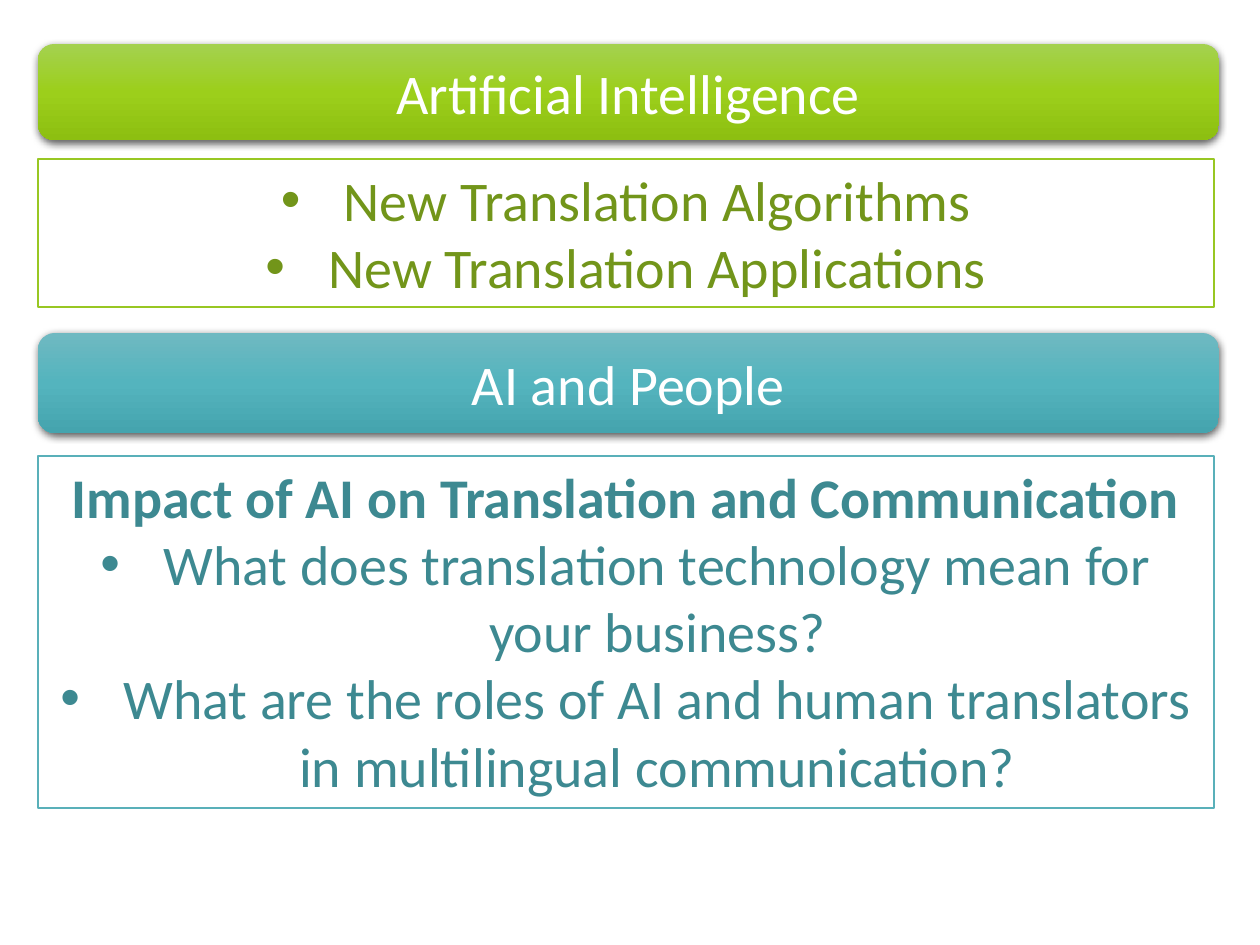
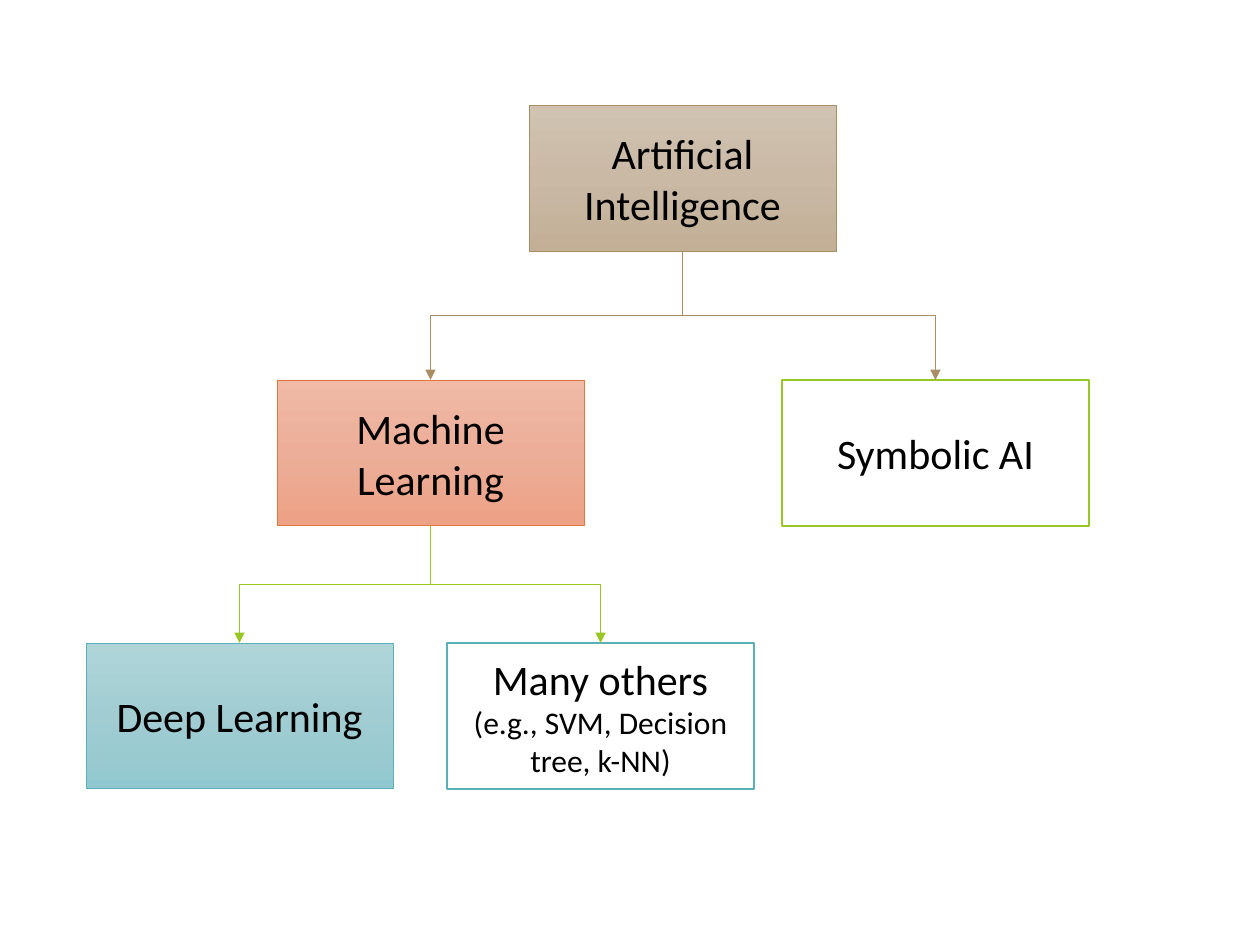
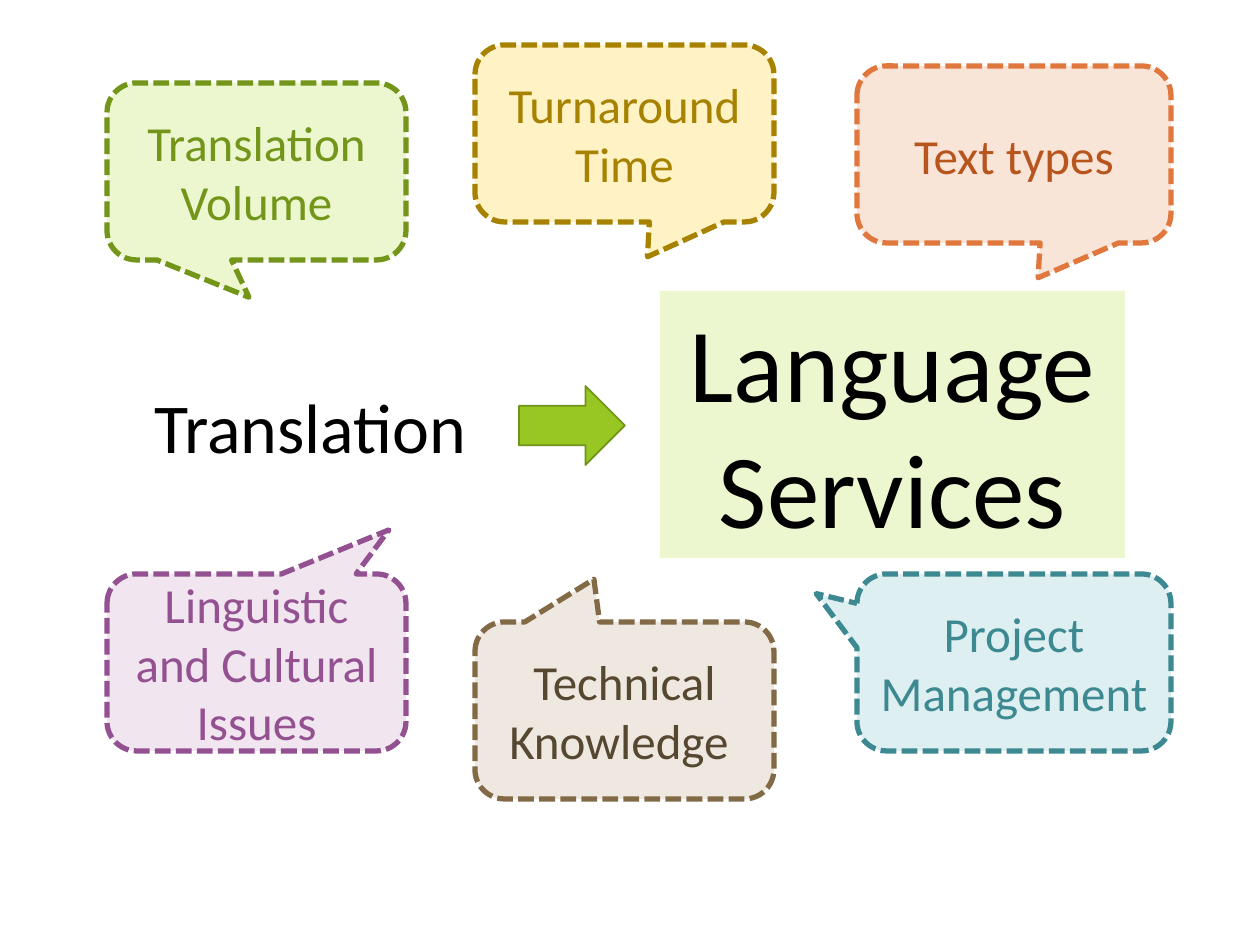
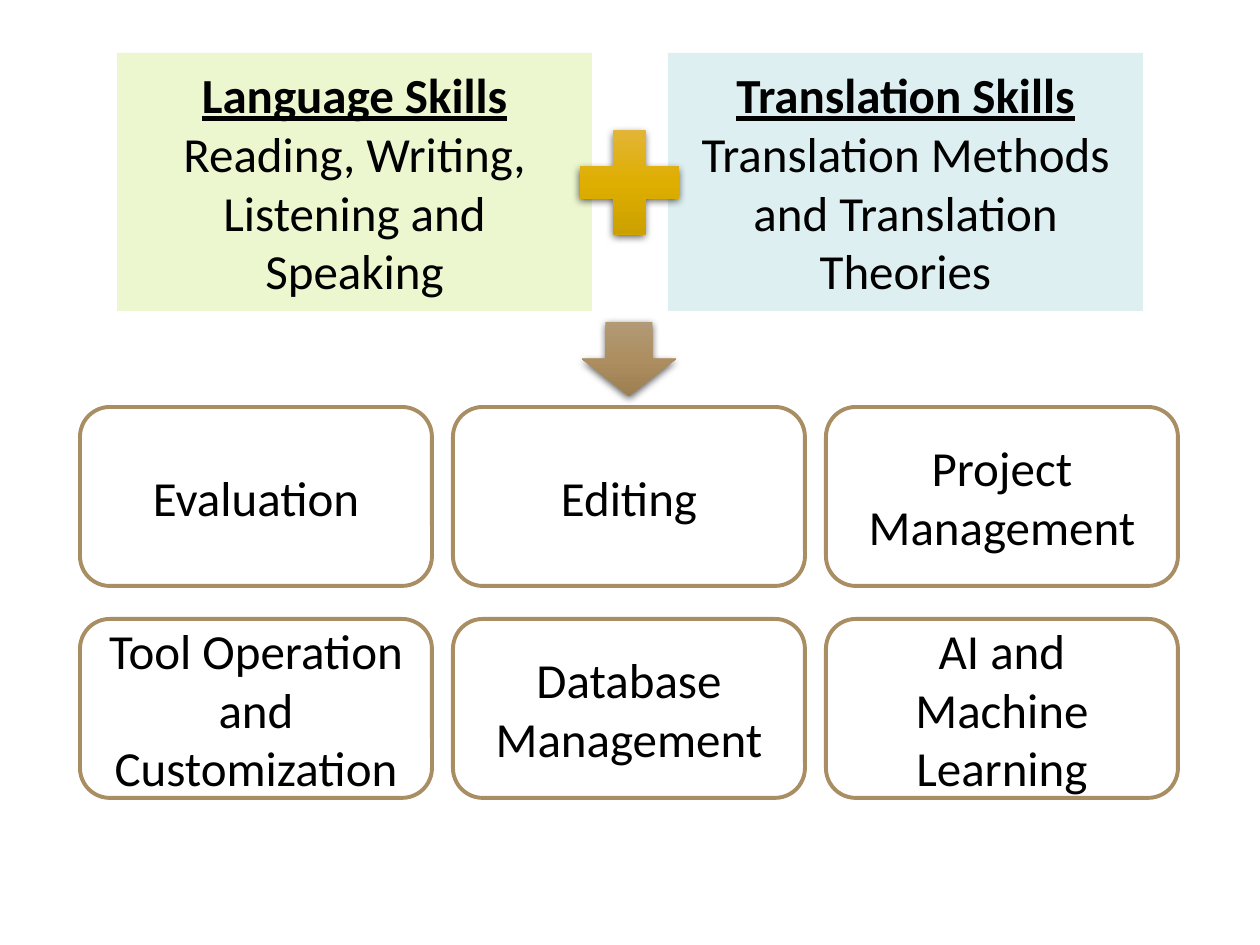
from copy import deepcopy

from lxml import etree
from pptx import Presentation
from pptx.dml.color import RGBColor
from pptx.enum.dml import MSO_LINE_DASH_STYLE
from pptx.enum.shapes import MSO_CONNECTOR, MSO_SHAPE
from pptx.enum.text import MSO_ANCHOR, MSO_AUTO_SIZE, PP_ALIGN
from pptx.oxml.ns import qn
from pptx.util import Pt

EMU_PER_PX = 914400 / 126
FONT = "Calibri"
RECT = MSO_SHAPE.RECTANGLE
ROUND_RECT = MSO_SHAPE.ROUNDED_RECTANGLE
CALLOUT = MSO_SHAPE.ROUNDED_RECTANGULAR_CALLOUT
RIGHT_ARROW = MSO_SHAPE.RIGHT_ARROW
DOWN_ARROW = MSO_SHAPE.DOWN_ARROW
PLUS = MSO_SHAPE.MATH_PLUS
ELBOW = MSO_CONNECTOR.ELBOW
DASHED = MSO_LINE_DASH_STYLE.SQUARE_DOT
CENTER = PP_ALIGN.CENTER
LEFT = PP_ALIGN.LEFT
TOP = MSO_ANCHOR.TOP
MIDDLE = MSO_ANCHOR.MIDDLE
GROW = MSO_AUTO_SIZE.SHAPE_TO_FIT_TEXT
BOTTOM_SITE, TOP_SITE = 2, 0

BLACK = "000000"
WHITE = "FFFFFF"
GREEN = "98C723"
DARK_GREEN = "72951A"
PALE_GREEN = "ECF7D0"
TEAL = "59B0B9"
DARK_TEAL = "3D8991"
PALE_TEAL = "DEEFF1"
ORANGE = "E0773C"
TAN = "A98D63"
GOLD = "A68200"
PURPLE = "945191"

GREEN_BLEND = ("A4D150", "9CCF1B", "8DBF11")
TEAL_BLEND = ("6FB9C1", "54B4BE", "45A4AE")
GOLD_BLEND = ("E4B74B", "DEAE00", "C59B00")
TAN_BLEND = ("B29A77", "AC8E60", "9D7F51")
SOFT_TAN_BLEND = ("D1C3B2", "C9B9A5", "C3AF96")
SOFT_ORANGE_BLEND = ("F0BAA7", "ECAE99", "EDA185")
SOFT_TEAL_BLEND = ("AFD5D9", "A1CDD2", "91C8CF")


def px(*lengths):
    return [round(length * EMU_PER_PX) for length in lengths]


def rgb(hex_color):
    return RGBColor.from_string(hex_color)


def paint_gradient(shape, colors):
    shape.fill.gradient()
    shape.fill.gradient_angle = 270
    stop_list = shape.element.spPr.find(".//" + qn("a:gsLst"))
    stop_list.insert(1, deepcopy(stop_list[0]))
    for index, (stop, color) in enumerate(zip(shape.fill.gradient_stops, colors)):
        stop.color.rgb = rgb(color)
        stop.position = index / 2


def add_box(page, kind, at, fill, line=None, width=1):
    shape = page.shapes.add_shape(kind, *px(*at))
    shape.shadow.inherit = False
    if isinstance(fill, tuple):
        paint_gradient(shape, fill)
    else:
        shape.fill.solid()
        shape.fill.fore_color.rgb = rgb(fill)
    if line:
        shape.line.color.rgb = rgb(line)
        shape.line.width = Pt(width)
    else:
        shape.line.fill.background()
    return shape


def add_raised(page, kind, at, fill):
    shape = add_box(page, kind, at, fill)
    effects = shape.element.spPr.find(qn("a:effectLst"))
    shadow = etree.SubElement(effects, qn("a:outerShdw"), blurRad="57150",
                              dist="19050", dir="5400000", rotWithShape="0")
    color = etree.SubElement(shadow, qn("a:srgbClr"), val=BLACK)
    etree.SubElement(color, qn("a:alpha"), val="63000")
    return shape


def format_span(span, size, color):
    span.font.name = FONT
    span.font.size = Pt(size)
    span.font.color.rgb = rgb(color)


def write(shape, text, size, color=BLACK, anchor=MIDDLE, align=CENTER):
    frame = shape.text_frame
    frame.text = text
    frame.word_wrap = True
    frame.vertical_anchor = anchor
    for para in frame.paragraphs:
        para.alignment = align
        for span in para.runs:
            format_span(span, size, color)
    return frame


def append_span(para, text, size, color=BLACK):
    span = para.add_run()
    span.text = text
    format_span(span, size, color)


def add_bullet(para):
    properties = para._p.get_or_add_pPr()
    properties.set("marL", "457200")
    properties.set("indent", "-457200")
    etree.SubElement(properties, qn("a:buFont"), typeface="Arial")
    etree.SubElement(properties, qn("a:buChar"), char="•")


def add_header(page, top, height, text, blend):
    header = add_raised(page, ROUND_RECT, (38, top, 1181, height), blend)
    write(header, text, 32, WHITE)


def add_panel(page, top, height, text, color, line):
    panel = add_box(page, RECT, (38, top, 1176, height), WHITE, line)
    frame = write(panel, text, 32, color, TOP)
    frame.auto_size = GROW
    return frame.paragraphs


def add_node(page, left, top, text, fill, line, width):
    node = add_box(page, RECT, (left, top, 307, 146), fill, line, width)
    write(node, text, 24)
    return node


def add_branch(page, parent, child, color):
    start_x, start_y = parent.left + parent.width // 2, parent.top + parent.height
    end_x, end_y = child.left + child.width // 2, child.top
    branch = page.shapes.add_connector(ELBOW, start_x, start_y, end_x, end_y)
    branch.begin_connect(parent, BOTTOM_SITE)
    branch.end_connect(child, TOP_SITE)
    drop, spread = end_y - start_y, abs(end_x - start_x)
    branch.left = (start_x + end_x - drop) // 2
    branch.top = (start_y + end_y - spread) // 2
    branch.width, branch.height = drop, spread
    goes_right = end_x > start_x
    properties = branch.element.spPr
    frame = properties.find(qn("a:xfrm"))
    frame.set("rot", "16200000" if goes_right else "5400000")
    frame.set("flipH", "1" if goes_right else "0")
    branch.line.color.rgb = rgb(color)
    branch.line.width = Pt(0.5)
    etree.SubElement(properties.find(qn("a:ln")), qn("a:tailEnd"), type="triangle")
    etree.SubElement(properties, qn("a:effectLst"))


def add_callout(page, at, tip, text, fill, line, color):
    callout = add_box(page, CALLOUT, at, fill, line, 3)
    callout.line.dash_style = DASHED
    callout.adjustments[0], callout.adjustments[1] = tip
    write(callout, text, 28, color)


def add_skill(page, left, fill, title, detail):
    skill = add_box(page, RECT, (left, 53, 475, 258), fill)
    para = write(skill, title, 28).paragraphs[0]
    para.runs[0].font.bold = True
    para.runs[0].font.underline = True
    append_span(para, detail, 28)


def build_topics(page):
    add_header(page, 44, 96, "Artificial Intelligence", GREEN_BLEND)
    for para in add_panel(page, 159, 148,
                          "New Translation Algorithms\nNew Translation Applications",
                          DARK_GREEN, GREEN):
        add_bullet(para)
    add_header(page, 333, 100, "AI and People", TEAL_BLEND)
    heading, *questions = add_panel(
        page, 456, 352,
        "Impact of AI on Translation and Communication\n"
        "What does translation technology mean for your business?\n"
        "What are the roles of AI and human translators in multilingual communication?",
        DARK_TEAL, TEAL)
    heading.runs[0].font.bold = True
    for para in questions:
        add_bullet(para)


def build_tree(page):
    intelligence = add_node(page, 529, 105, "Artificial Intelligence",
                            SOFT_TAN_BLEND, TAN, 0.5)
    learning = add_node(page, 277, 380, "Machine Learning",
                        SOFT_ORANGE_BLEND, ORANGE, 0.5)
    deep = add_node(page, 86, 643, "Deep Learning", SOFT_TEAL_BLEND, TEAL, 0.5)
    symbolic = add_node(page, 782, 380, "Symbolic AI", WHITE, GREEN, 1)
    others = add_node(page, 447, 643, "Many others ", WHITE, TEAL, 1)
    append_span(others.text_frame.paragraphs[0], "(e.g., SVM, Decision tree, k-NN)", 18)
    for parent, children, color in ((intelligence, (learning, symbolic), TAN),
                                    (learning, (deep, others), GREEN)):
        for child in children:
            add_branch(page, parent, child, color)


def build_services(page):
    label = page.shapes.add_textbox(*px(142, 377, 340, 97))
    frame = write(label, "Translation", 40, anchor=TOP, align=LEFT)
    frame.word_wrap = False
    frame.auto_size = GROW
    add_box(page, RIGHT_ARROW, (519, 386, 106, 79), GREEN, "70931A")
    services = add_box(page, RECT, (660, 291, 465, 267), PALE_GREEN)
    write(services, "Language Services", 60, anchor=TOP).auto_size = GROW

    columns = ((107, 299), (475, 299), (857, 314))
    callouts = (
        (0, 83, (-0.025, 0.711), "Translation\nVolume", PALE_GREEN, DARK_GREEN, DARK_GREEN),
        (1, 45, (0.077, 0.697), "Turnaround Time", "FFF3C5", GOLD, GOLD),
        (2, 66, (0.077, 0.697), "Text types", "F9E4D8", ORANGE, "B8551D"),
        (0, 574, (0.443, -0.749), "Linguistic and Cultural Issues", "F1E5F0", PURPLE, PURPLE),
        (2, 574, (-0.63, -0.389), "Project Management", PALE_TEAL, DARK_TEAL, DARK_TEAL),
        (1, 622, (-0.102, -0.742), "Technical Knowledge ", "EEE8E0", "826A47", "564730"),
    )
    for column, top, *details in callouts:
        left, width = columns[column]
        add_callout(page, (left, top, width, 177), *details)


def build_skills(page):
    add_skill(page, 117, PALE_GREEN, "Language Skills ",
              "Reading, Writing, Listening and Speaking")
    add_skill(page, 668, PALE_TEAL, "Translation Skills ",
              "Translation Methods and Translation Theories")
    tasks = ("Evaluation", "Editing", "Project Management",
             "Tool Operation and Customization", "Database Management",
             "AI and Machine Learning")
    for index, task in enumerate(tasks):
        row, column = divmod(index, 3)
        at = (80 + 373 * column, 407 + 212 * row, 352, 179)
        write(add_box(page, ROUND_RECT, at, WHITE, TAN, 2.25), task, 28)
    add_raised(page, PLUS, (562, 112, 135, 141), GOLD_BLEND)
    add_raised(page, DOWN_ARROW, (582, 322, 94, 74), TAN_BLEND)


def main():
    deck = Presentation()
    deck.slide_width, deck.slide_height = px(1260, 945)
    for build in (build_topics, build_tree, build_services, build_skills):
        build(deck.slides.add_slide(deck.slide_layouts[6]))
    deck.save("out.pptx")


if __name__ == "__main__":
    main()
